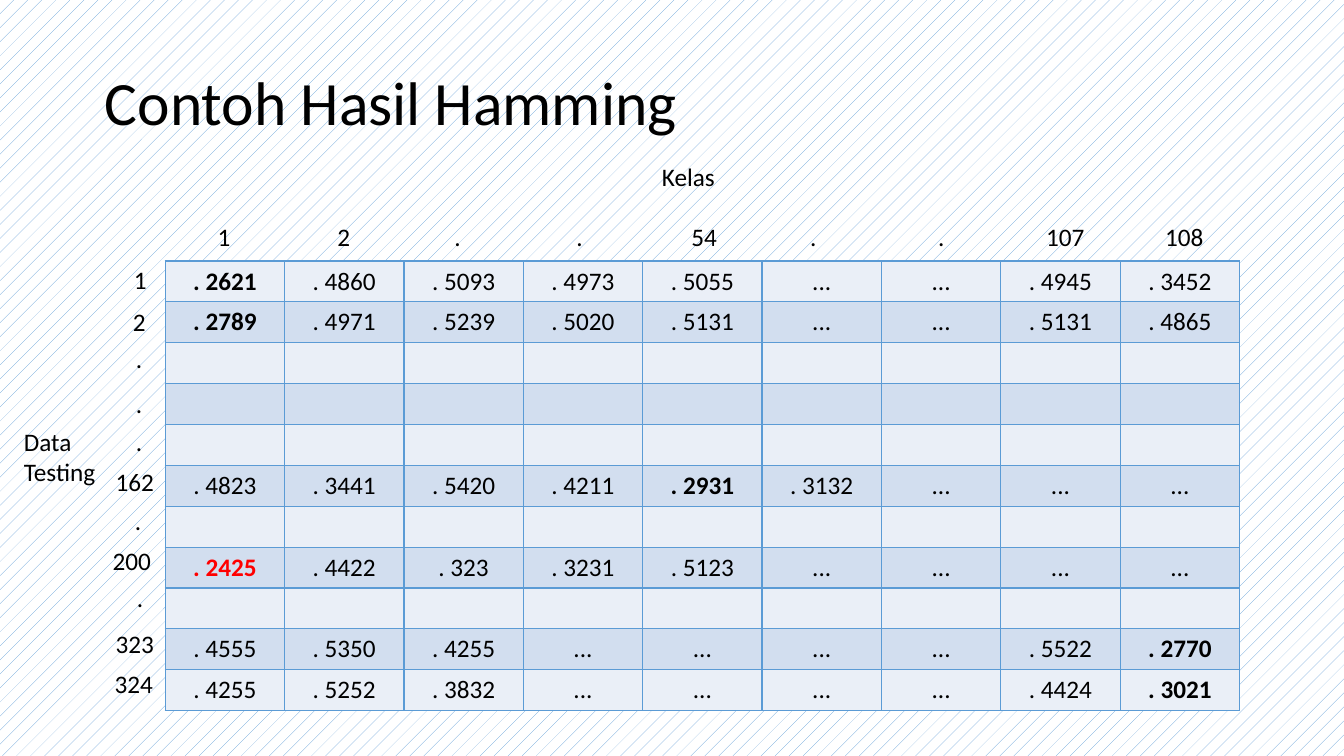
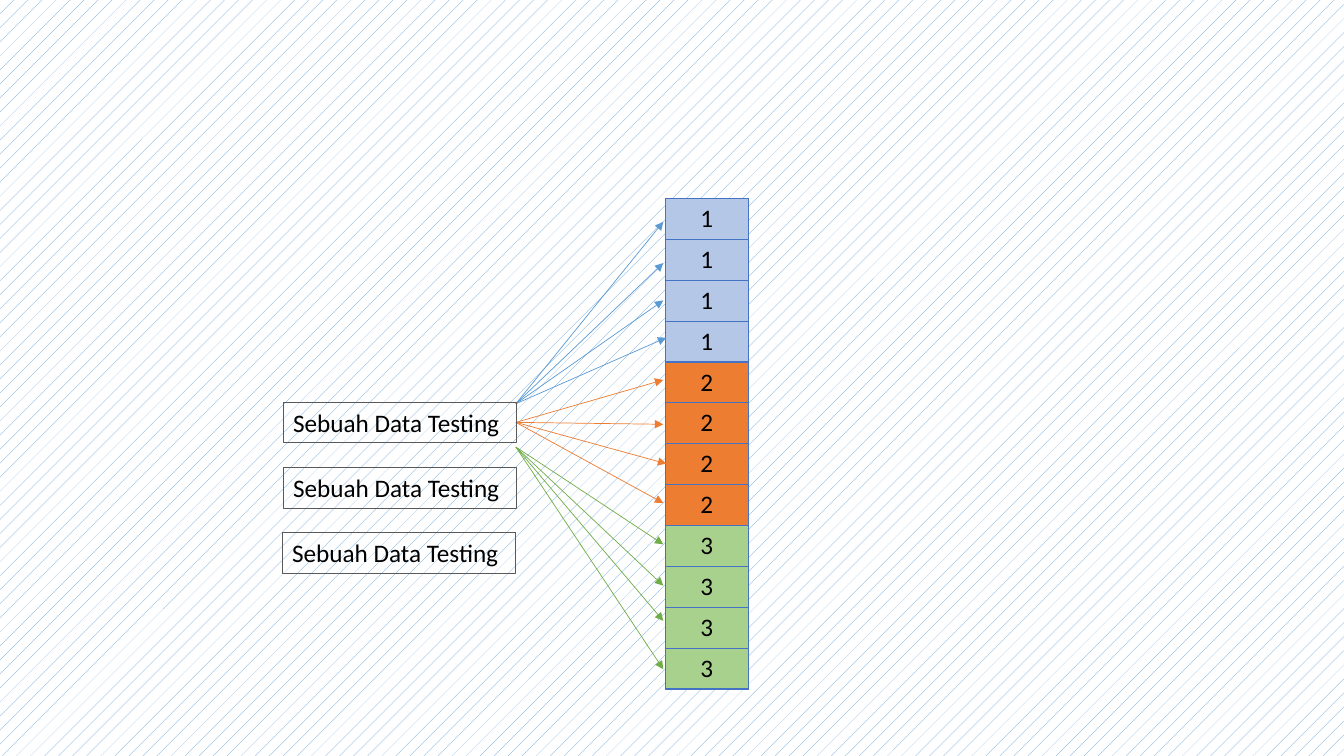
"""Build two slides on Hamming distance results and class matching."""
from dataclasses import dataclass
from typing import Any

from lxml.etree import SubElement
from pptx import Presentation
from pptx.dml.color import RGBColor
from pptx.enum.dml import MSO_PATTERN
from pptx.enum.shapes import MSO_CONNECTOR as Conn, MSO_SHAPE as Shp
from pptx.enum.text import MSO_ANCHOR as Anchor, PP_ALIGN as Align
from pptx.oxml.ns import qn
from pptx.slide import Slide
from pptx.util import Pt

BLACK, RED, WHITE, GREY = "000000", "FF0000", "FFFFFF", "595959"
BLUE, DEEP_BLUE, ORANGE, GREEN = "5B9BD5", "4472C4", "ED7D31", "70AD47"
BANDS = ("EAEFF7", "D2DEEF")
BODY = {"name": "Calibri", "size": Pt(18), "bold": False}
TITLE = {**BODY, "size": Pt(44)}
ROW_H = 29.2
LABEL_WIDTHS = {1: 20, 2: 35, 3: 50, 5: 55, 12: 70}


@dataclass(frozen=True)
class Cell:
    """Content and look of one table cell."""
    text: str
    fill: str
    color: str = BLACK
    bold: bool = False


@dataclass(frozen=True)
class Label:
    """Free text at a place, in points."""
    text: str
    x: float
    y: float


@dataclass(frozen=True)
class Fan:
    """Arrows from one point to four table cells of one class."""
    color: str
    fill: str
    y: float
    ends: tuple[tuple[float, float], ...]


HEAD_X = (("1", 148.3), ("2", 234), (".", 317.5), (".", 404.6), ("54", 486.7),
          (".", 571.7), (".", 663.1), ("107", 740.2), ("108", 825.1))
LABELS = [Label(text, x, 154.3) for text, x in HEAD_X] + [
    Label("1", 88.6, 185), Label("2", 87.8, 215.3), Label(".", 90, 241.9),
    Label(".", 90, 273.6), Label(".", 90, 301), Label("162", 75.6, 329.8),
    Label(".", 89.3, 357.1), Label("200", 73.4, 385.9), Label(".", 90.7, 412.6),
    Label("323", 75.6, 445), Label("324", 74.9, 473.8),
    Label("Kelas", 465.8, 111.6), Label("Data Testing", 10, 301),
]
EMPTY = ("",) * 9
DISTANCES = (
    (". 2621", ". 4860", ". 5093", ". 4973", ". 5055", "...", "...", ". 4945", ". 3452"),
    (". 2789", ". 4971", ". 5239", ". 5020", ". 5131", "...", "...", ". 5131", ". 4865"),
    EMPTY, EMPTY, EMPTY,
    (". 4823", ". 3441", ". 5420", ". 4211", ". 2931", ". 3132", "...", "...", "..."),
    EMPTY,
    (". 2425", ". 4422", ". 323", ". 3231", ". 5123", "...", "...", "...", "..."),
    EMPTY,
    (". 4555", ". 5350", ". 4255", "...", "...", "...", "...", ". 5522", ". 2770"),
    (". 4255", ". 5252", ". 3832", "...", "...", "...", "...", ". 4424", ". 3021"),
)
NEAREST = {(0, 0), (1, 0), (5, 4), (7, 0), (9, 8), (10, 8)}
WRONG = {(7, 0)}
FANS = (
    Fan(BLUE, "B4C7E7", 288.4,
        ((473.8, 158.4), (473.8, 187.9), (473.8, 214.6), (475.9, 241.2))),
    Fan(ORANGE, ORANGE, 301.7,
        ((473.8, 271.4), (473.8, 303.1), (475.9, 331.2), (473.8, 359.3))),
    Fan(GREEN, "A9D18E", 319.3,
        ((473.8, 388.8), (473.8, 418.3), (473.8, 443.5), (473.8, 478.1))),
)
BOXES = ((202.3, 287.3), (202.3, 334), (201.6, 380.4))


def rgb(value: str) -> RGBColor:
    """Turn a hex string into a colour."""
    return RGBColor.from_string(value)


def write(tf: Any, text: str, style: dict[str, Any], color: str = BLACK,
          align: Align = Align.LEFT) -> None:
    """Put one formatted run in a text frame."""
    p = tf.paragraphs[0]
    p.alignment = align
    r = p.add_run()
    r.text = text
    for key, value in style.items():
        setattr(r.font, key, value)
    r.font.color.rgb = rgb(color)


def add_label(s: Slide, label: Label) -> None:
    """Add a free label."""
    sp = s.shapes.add_textbox(Pt(label.x), Pt(label.y),
                              Pt(LABEL_WIDTHS[len(label.text)]), Pt(29))
    sp.text_frame.word_wrap = True
    write(sp.text_frame, label.text, BODY)


def add_borders(cell: Any, color: str) -> None:
    """Draw a one-point border on all sides of a cell."""
    props = cell._tc.get_or_add_tcPr()
    for side in ("a:lnL", "a:lnR", "a:lnT", "a:lnB"):
        ln = SubElement(props, qn(side), w=str(Pt(1)))
        SubElement(SubElement(ln, qn("a:solidFill")), qn("a:srgbClr"), val=color)


def add_grid(s: Slide, x: float, y: float, col_w: float,
             rows: list[list[Cell]], border: str) -> None:
    """Add a table of equal cells."""
    n_rows, n_cols = len(rows), len(rows[0])
    table = s.shapes.add_table(n_rows, n_cols, Pt(x), Pt(y),
                               Pt(col_w * n_cols), Pt(ROW_H * n_rows)).table
    table.first_row = table.horz_banding = False
    for col in table.columns:
        col.width = Pt(col_w)
    for i, row in enumerate(rows):
        table.rows[i].height = Pt(ROW_H)
        for j, item in enumerate(row):
            cell = table.cell(i, j)
            add_borders(cell, border)
            cell.fill.solid()
            cell.fill.fore_color.rgb = rgb(item.fill)
            if item.text:
                write(cell.text_frame, item.text, {**BODY, "bold": item.bold},
                      item.color, Align.CENTER)


def add_box(s: Slide, x: float, y: float) -> None:
    """Add an outlined test data box."""
    sp = s.shapes.add_shape(Shp.RECTANGLE, Pt(x), Pt(y), Pt(166.3), Pt(29))
    sp.shadow.inherit = False
    sp.fill.background()
    sp.line.color.rgb = rgb(GREY)
    sp.line.width = Pt(0.75)
    sp.text_frame.word_wrap = True
    sp.text_frame.vertical_anchor = Anchor.TOP
    write(sp.text_frame, "Sebuah Data Testing", BODY)


def add_fan(s: Slide, fan: Fan) -> None:
    """Add the arrows of one class."""
    for x, y in fan.ends:
        arrow = s.shapes.add_connector(Conn.STRAIGHT, Pt(368.5), Pt(fan.y), Pt(x), Pt(y))
        arrow.line.color.rgb = rgb(fan.color)
        arrow.line.width = Pt(0.5)
        SubElement(arrow.line._get_or_add_ln(), qn("a:tailEnd"), type="triangle")
        SubElement(arrow._element.spPr, qn("a:effectLst"))


def set_background(prs: Any) -> None:
    """Give all slides the dotted background."""
    fill = prs.slide_master.background.fill
    fill.patterned()
    fill.pattern = MSO_PATTERN.PERCENT_5
    fill.fore_color.rgb = rgb(BLUE)
    fill.back_color.rgb = rgb(WHITE)


def set_title(s: Slide, text: str) -> None:
    """Place and format the slide title."""
    sp = s.shapes.title
    place = {"left": Pt(67.7), "top": Pt(23), "width": Pt(828), "height": Pt(104.4)}
    for key, value in place.items():
        setattr(sp, key, value)
    tf = sp.text_frame
    tf.vertical_anchor = Anchor.MIDDLE
    tf.paragraphs[0].line_spacing = 0.9
    write(tf, text, TITLE)


def build_results(prs: Any) -> None:
    """Build the slide with the distance table."""
    s = prs.slides.add_slide(prs.slide_layouts.get_by_name("Title Only"))
    set_title(s, "Contoh Hasil Hamming")
    rows = [[Cell(text, BANDS[i % 2], RED if (i, j) in WRONG else BLACK, (i, j) in NEAREST)
             for j, text in enumerate(row)] for i, row in enumerate(DISTANCES)]
    add_grid(s, 118, 186.4, 85.28, rows, BLUE)
    for label in LABELS:
        add_label(s, label)


def build_matching(prs: Any) -> None:
    """Build the slide that links test data to classes."""
    s = prs.slides.add_slide(prs.slide_layouts.get_by_name("Blank"))
    rows = [[Cell(str(number), fan.fill)]
            for number, fan in enumerate(FANS, 1) for _ in fan.ends]
    add_grid(s, 475.2, 141.8, 59.2, rows, DEEP_BLUE)
    for fan in FANS:
        add_fan(s, fan)
    for x, y in BOXES:
        add_box(s, x, y)


def main() -> None:
    """Build and save the presentation."""
    prs = Presentation()
    prs.slide_width, prs.slide_height = Pt(960), Pt(540)
    set_background(prs)
    build_results(prs)
    build_matching(prs)
    prs.save("out.pptx")


if __name__ == "__main__":
    main()
